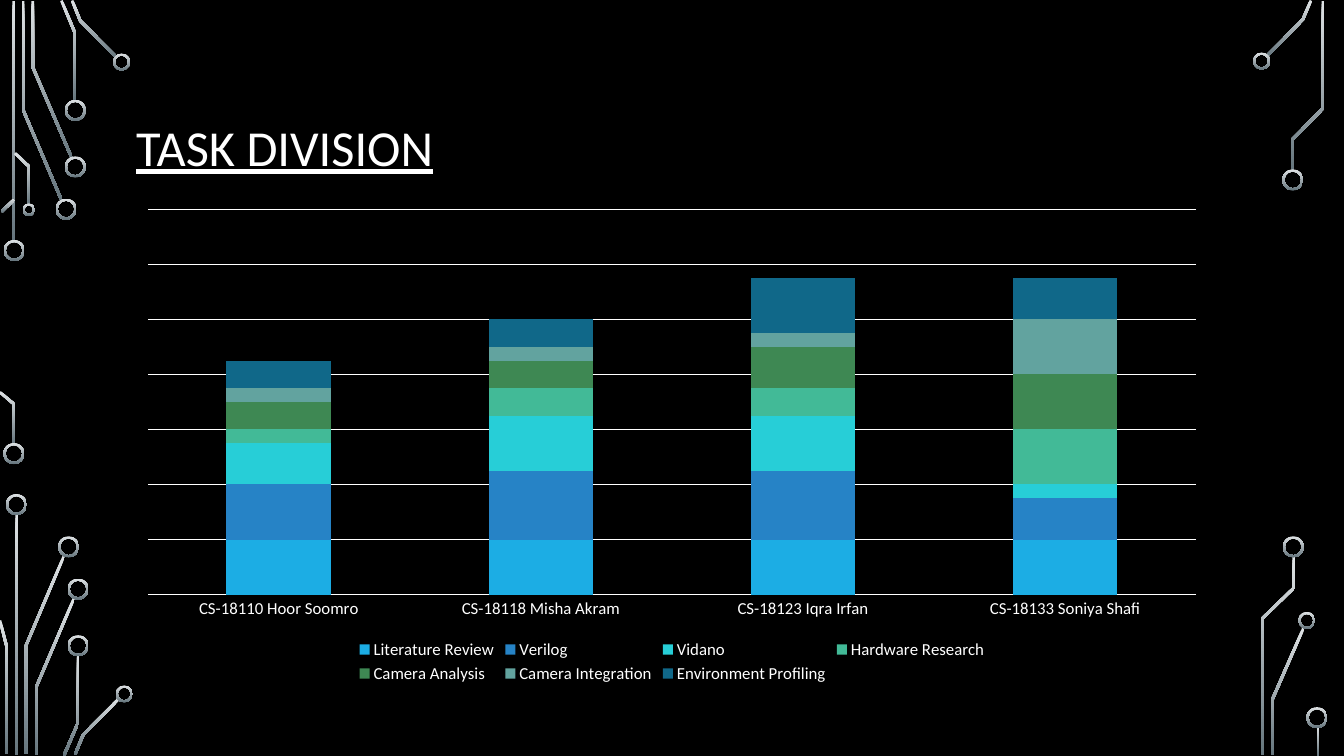
import math
from dataclasses import dataclass

import pptx
import pptx.chart.data
import pptx.dml.color
import pptx.enum.chart
import pptx.enum.shapes
import pptx.enum.text
import pptx.util

Pt = pptx.util.Pt
Point = tuple[float, float]


@dataclass(frozen=True)
class Theme:
    background: str = "000000"
    text: str = "FFFFFF"
    trace_top: str = "DFE3E5"
    trace_bottom: str = "65757D"
    font: str = "Calibri"
    title_size: float = 36
    chart_size: float = 12
    trace_width: float = 1.9
    ring_width: float = 1.5


@dataclass(frozen=True)
class Ring:
    x: float
    y: float
    diameter: float = 15


@dataclass(frozen=True)
class Task:
    name: str
    shares: tuple[int, ...]
    colour: str


THEME = Theme()

# Centre lines of the circuit traces, in points
TRACES: list[list[Point]] = [
    # Top left
    [(9.8, 0.7), (9.8, 172.7)],
    [(16.5, 0.7), (16.5, 78.4), (44, 143)],
    [(23.4, 0.7), (23.4, 48), (51.2, 112.7)],
    [(43.9, 0.4), (53.7, 23.8), (53.7, 72)],
    [(51.5, 0.4), (57.3, 14.8), (83.2, 41)],
    [(1.1, 151.2), (10.1, 142.6)],
    [(10.8, 109.4), (20.9, 119.2), (20.9, 146.2)],
    # Bottom left
    [(0, 280.1), (10.1, 288.7), (10.1, 317.5)],
    [(11.9, 367.2), (11.9, 539.3)],
    [(18.4, 538.6), (18.4, 461.5), (45.7, 397.1)],
    [(0, 443.2), (4.7, 461.5), (4.7, 538.6)],
    [(25.6, 539.3), (25.6, 491.4), (52.9, 427.3)],
    [(45.7, 539.6), (55.8, 516.2), (55.8, 468)],
    [(53.6, 538.9), (59.4, 524.9), (85, 499)],
    # Top right
    [(905, 40), (930.6, 14), (936.4, 0.4)],
    [(923, 121.7), (923, 99.7), (945, 77.4), (945, 0.7)],
    # Bottom right
    [(909, 539.3), (909, 499.3), (931, 448.9)],
    [(901.8, 539.3), (901.8, 441.7), (924.1, 420.1), (924.1, 397.4)],
    [(941.4, 519.1), (941.4, 539.3)],
]

RINGS = [
    Ring(10.1, 178.9), Ring(47.2, 149.4), Ring(53.8, 119.2), Ring(53.8, 78.8),
    Ring(86.9, 44.3, 12.2), Ring(20.6, 149.8, 9),
    Ring(9.9, 324), Ring(11.7, 360.4), Ring(49, 390.6), Ring(55.8, 420.8),
    Ring(55.8, 461.2), Ring(88.8, 495.7, 12.2),
    Ring(901.2, 43.6, 12.2), Ring(923.4, 128.5),
    Ring(923.8, 390.6), Ring(933.5, 443.2, 12.2), Ring(940.7, 512.6),
]

MEMBERS = ["CS-18110 Hoor Soomro", "CS-18118 Misha Akram",
           "CS-18123 Iqra Irfan", "CS-18133 Soniya Shafi"]

TASKS = [
    Task("Literature Review", (80, 80, 80, 80), "1CADE4"),
    Task("Verilog", (80, 100, 100, 60), "2683C6"),
    Task("Vidano", (60, 80, 80, 20), "27CED7"),
    Task("Hardware Research", (20, 40, 40, 80), "42BA97"),
    Task("Camera Analysis", (40, 40, 60, 80), "3E8853"),
    Task("Camera Integration", (20, 20, 20, 80), "62A39F"),
    Task("Environment Profiling", (40, 40, 80, 60), "106889"),
]


def rgb(colour: str) -> pptx.dml.color.RGBColor:
    return pptx.dml.color.RGBColor.from_string(colour)


def style_font(font, size: float) -> None:
    font.name = THEME.font
    font.size = Pt(size)
    font.color.rgb = rgb(THEME.text)


def style_metal(shape) -> None:
    """Light at the top, dark at the bottom, no outline."""
    shape.shadow.inherit = False
    shape.line.fill.background()
    shape.fill.gradient()
    shape.fill.gradient_angle = 270
    for stop, colour in zip(shape.fill.gradient_stops, (THEME.trace_top, THEME.trace_bottom)):
        stop.color.rgb = rgb(colour)


def offset_side(points: list[Point], distance: float) -> list[Point]:
    """Shift a centre line sideways, with mitred corners."""
    normals = []
    for (x1, y1), (x2, y2) in zip(points, points[1:]):
        length = math.hypot(x2 - x1, y2 - y1)
        normals.append(((y1 - y2) / length, (x2 - x1) / length))
    side = []
    for (x, y), (ax, ay), (bx, by) in zip(points, normals[:1] + normals, normals + normals[-1:]):
        scale = distance / (1 + ax * bx + ay * by)
        side.append((x + (ax + bx) * scale, y + (ay + by) * scale))
    return side


def draw_trace(page, points: list[Point]) -> None:
    half = THEME.trace_width / 2
    outline = offset_side(points, half) + offset_side(points, -half)[::-1]
    corners = [(Pt(x), Pt(y)) for x, y in outline]
    builder = page.shapes.build_freeform(*corners[0])
    builder.add_line_segments(corners[1:], close=True)
    style_metal(builder.convert_to_shape())


def draw_ring(page, ring: Ring) -> None:
    radius = ring.diameter / 2
    shape = page.shapes.add_shape(
        pptx.enum.shapes.MSO_SHAPE.DONUT, Pt(ring.x - radius), Pt(ring.y - radius),
        Pt(ring.diameter), Pt(ring.diameter))
    shape.adjustments[0] = THEME.ring_width / ring.diameter
    style_metal(shape)


def write_title(page) -> None:
    box = page.shapes.title
    box.left, box.top, box.width, box.height = Pt(90), Pt(49), Pt(780), Pt(116.6)
    frame = box.text_frame
    frame.word_wrap = True
    frame.auto_size = pptx.enum.text.MSO_AUTO_SIZE.NONE
    frame.vertical_anchor = pptx.enum.text.MSO_ANCHOR.MIDDLE
    para = frame.paragraphs[0]
    para.alignment = pptx.enum.text.PP_ALIGN.LEFT
    para.line_spacing = 0.9
    span = para.add_run()
    span.text = "TASK DIVISION"
    style_font(span.font, THEME.title_size)
    span.font.underline = True


def draw_chart(page) -> None:
    data = pptx.chart.data.CategoryChartData()
    data.categories = MEMBERS
    for task in TASKS:
        data.add_series(task.name, task.shares)
    chart = page.shapes.add_chart(
        pptx.enum.chart.XL_CHART_TYPE.COLUMN_STACKED,
        Pt(90), Pt(142.6), Pt(780), Pt(348.5), data).chart
    chart.has_title = False
    style_font(chart.font, THEME.chart_size)

    # Columns
    plot = chart.plots[0]
    plot.gap_width, plot.overlap = 150, 100
    plot.vary_by_categories = False
    for series, task in zip(plot.series, TASKS):
        series.format.fill.solid()
        series.format.fill.fore_color.rgb = rgb(task.colour)

    # Axes
    names = chart.category_axis
    names.major_tick_mark = pptx.enum.chart.XL_TICK_MARK.NONE
    names.format.line.fill.background()
    style_font(names.tick_labels.font, THEME.chart_size)
    scale = chart.value_axis
    scale.visible = False
    scale.minimum_scale, scale.maximum_scale, scale.major_unit = 0, 560, 80
    scale.has_major_gridlines = True
    scale.major_gridlines.format.line.color.rgb = rgb(THEME.text)
    scale.major_gridlines.format.line.width = Pt(0.75)

    # Legend
    chart.has_legend = True
    chart.legend.position = pptx.enum.chart.XL_LEGEND_POSITION.BOTTOM
    chart.legend.include_in_layout = False
    style_font(chart.legend.font, THEME.chart_size)


def main() -> None:
    deck = pptx.Presentation()
    deck.slide_width, deck.slide_height = Pt(960), Pt(540)
    page = deck.slides.add_slide(deck.slide_layouts.get_by_name("Title Only"))
    page.background.fill.solid()
    page.background.fill.fore_color.rgb = rgb(THEME.background)
    for points in TRACES:
        draw_trace(page, points)
    for ring in RINGS:
        draw_ring(page, ring)
    write_title(page)
    draw_chart(page)
    deck.save("out.pptx")


if __name__ == "__main__":
    main()
